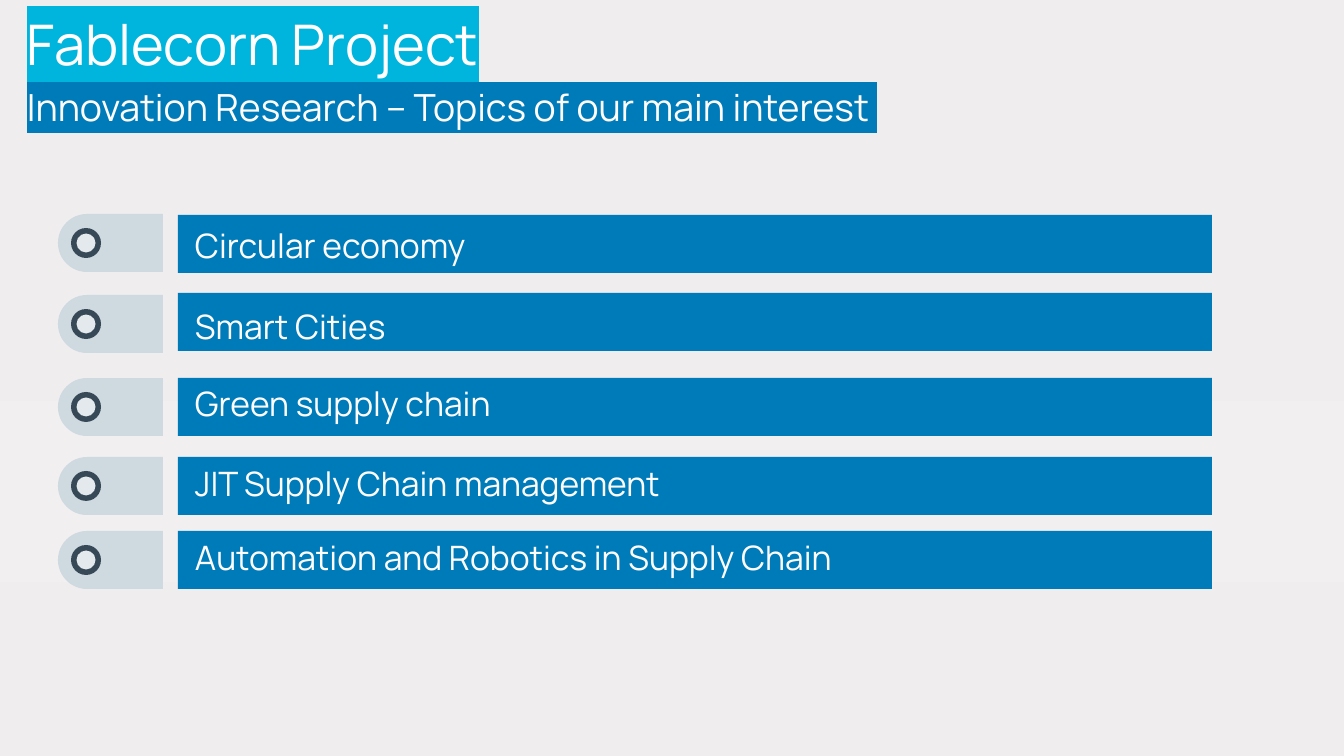
from copy import deepcopy

from lxml.etree import SubElement
from pptx import Presentation
from pptx.dml.color import RGBColor
from pptx.enum.shapes import MSO_SHAPE as Preset
from pptx.enum.text import MSO_ANCHOR as Anchor
from pptx.oxml.ns import qn
from pptx.util import Emu, Pt

SCALE = 914400 / 134.4  # EMU in one px

COLORS = {
    "white": "FFFFFF",
    "cyan": "00B5DD",
    "blue": "007BB9",
    "tab": "CFD9E0",
    "ring": "374957",
    "hole": "E3E9ED",
}
BACKGROUND = [(0, "EFEDEE"), (0.53, "F1EFF0"), (0.77, "EFEDEE"), (1, "EFEBEC")]

HEADING = [
    ("Fablecorn Project", 30, "cyan"),
    ("Innovation Research – Topics of our main interest ", 20, "blue"),
]
# label, top of tab, top of bar, top of label
TOPICS = [
    ("Circular economy", 214, 215, 214),
    ("Smart Cities", 295, 293, 295),
    ("Green supply chain", 378, 378, 372),
    ("JIT Supply Chain management", 457, 457, 452),
    ("Automation and Robotics in Supply Chain", 531, 531, 526),
]
ROW_HEIGHT = 58
TAB_LEFT, TAB_WIDTH = 58, 105
RING_CENTER = 86


def px(length):
    return Emu(round(length * SCALE))


class TopicSlide:
    font = "Manrope"

    def __init__(self, presentation):
        self.slide = presentation.slides.add_slide(presentation.slide_layouts[6])

    def background(self, stops):
        fill = self.slide.background.fill
        fill.gradient()
        fill.gradient_angle = 270
        stop_list = next(self.slide.element.iter(qn("a:gsLst")))
        while len(stop_list) < len(stops):
            stop_list.append(deepcopy(stop_list[0]))
        for stop, (position, color) in zip(fill.gradient_stops, stops):
            stop.position = position
            stop.color.rgb = RGBColor.from_string(color)

    def shape(self, preset, left, top, width, height, color):
        shape = self.slide.shapes.add_shape(
            preset, px(left), px(top), px(width), px(height))
        shape.shadow.inherit = False
        shape.fill.solid()
        shape.fill.fore_color.rgb = RGBColor.from_string(COLORS[color])
        shape.line.fill.background()
        return shape

    def disc(self, center_x, center_y, diameter, color):
        self.shape(Preset.OVAL, center_x - diameter / 2, center_y - diameter / 2,
                   diameter, diameter, color)

    def tab(self, top):
        """Draw a tab with a round left end and a ring in it."""
        center = top + ROW_HEIGHT / 2
        # Drawn upright, then turned about its centre.
        tab = self.shape(Preset.ROUND_2_SAME_RECTANGLE,
                         TAB_LEFT + (TAB_WIDTH - ROW_HEIGHT) / 2,
                         center - TAB_WIDTH / 2, ROW_HEIGHT, TAB_WIDTH, "tab")
        tab.adjustments[0] = 0.5
        tab.rotation = 270
        self.disc(RING_CENTER, center, 30, "ring")
        self.disc(RING_CENTER, center, 19, "hole")

    def text(self, left, top, width, height, lines, anchor, spacing, before=0):
        """Write lines of (text, size, highlight colour or None)."""
        box = self.slide.shapes.add_textbox(
            px(left), px(top), px(width), px(height))
        frame = box.text_frame
        frame.word_wrap = True
        frame.vertical_anchor = anchor
        frame.margin_left = frame.margin_right = 0
        frame.margin_top = frame.margin_bottom = 0
        for index, (text, size, highlight) in enumerate(lines):
            paragraph = frame.add_paragraph() if index else frame.paragraphs[0]
            paragraph.line_spacing = spacing
            paragraph.space_before = Pt(before)
            paragraph.font.name = self.font
            paragraph.font.size = Pt(size)
            paragraph.font.color.rgb = RGBColor.from_string(COLORS["white"])
            run = paragraph.add_run()
            run.text = text
            if highlight:
                mark = SubElement(run._r.get_or_add_rPr(), qn("a:highlight"))
                SubElement(mark, qn("a:srgbClr"), val=COLORS[highlight])


def main():
    presentation = Presentation()
    presentation.slide_width = px(1344)
    presentation.slide_height = px(756)

    page = TopicSlide(presentation)
    page.background(BACKGROUND)
    page.text(27, 0, 942, 149, HEADING, Anchor.TOP, 1.15)
    for label, tab_top, bar_top, label_top in TOPICS:
        page.shape(Preset.RECTANGLE, 178, bar_top, 1034, ROW_HEIGHT, "blue")
        page.tab(tab_top)
        page.text(195, label_top, 864, ROW_HEIGHT, [(label, 18, None)],
                  Anchor.MIDDLE, 1.1, before=6)

    presentation.save("out.pptx")


if __name__ == "__main__":
    main()
